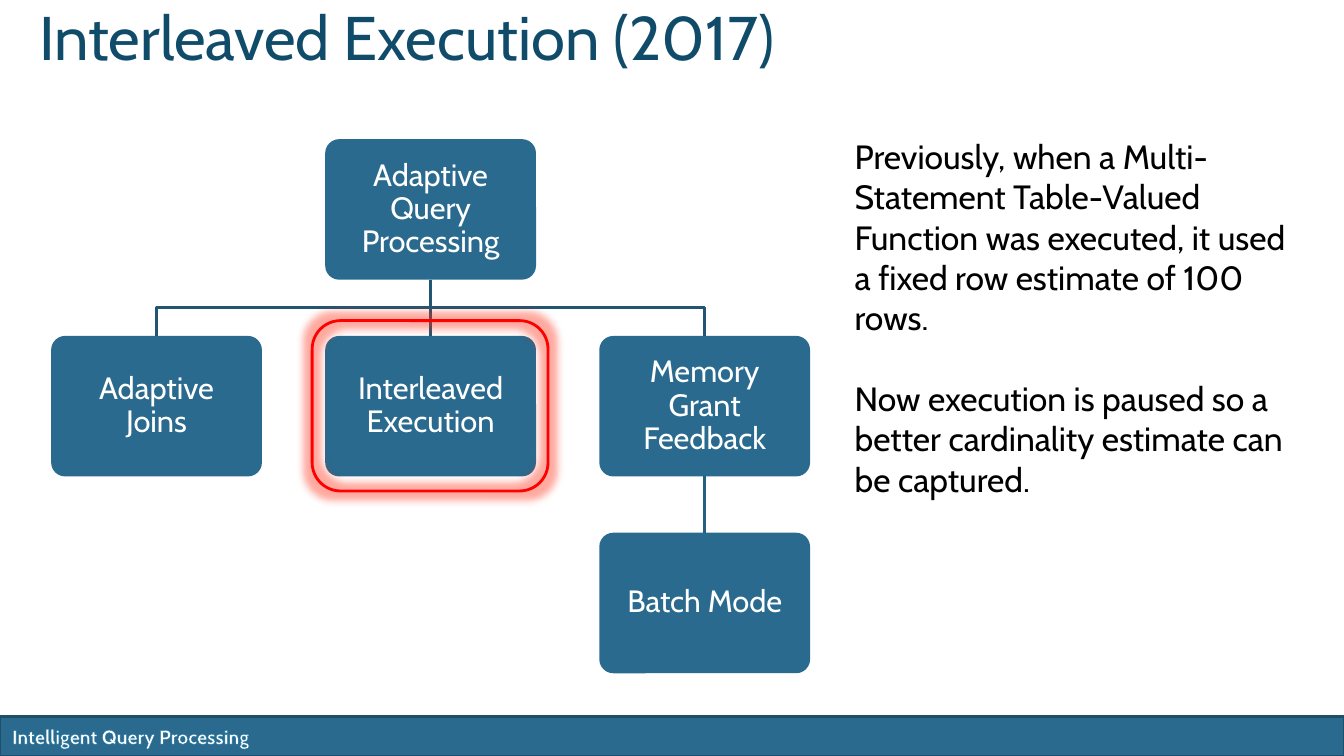
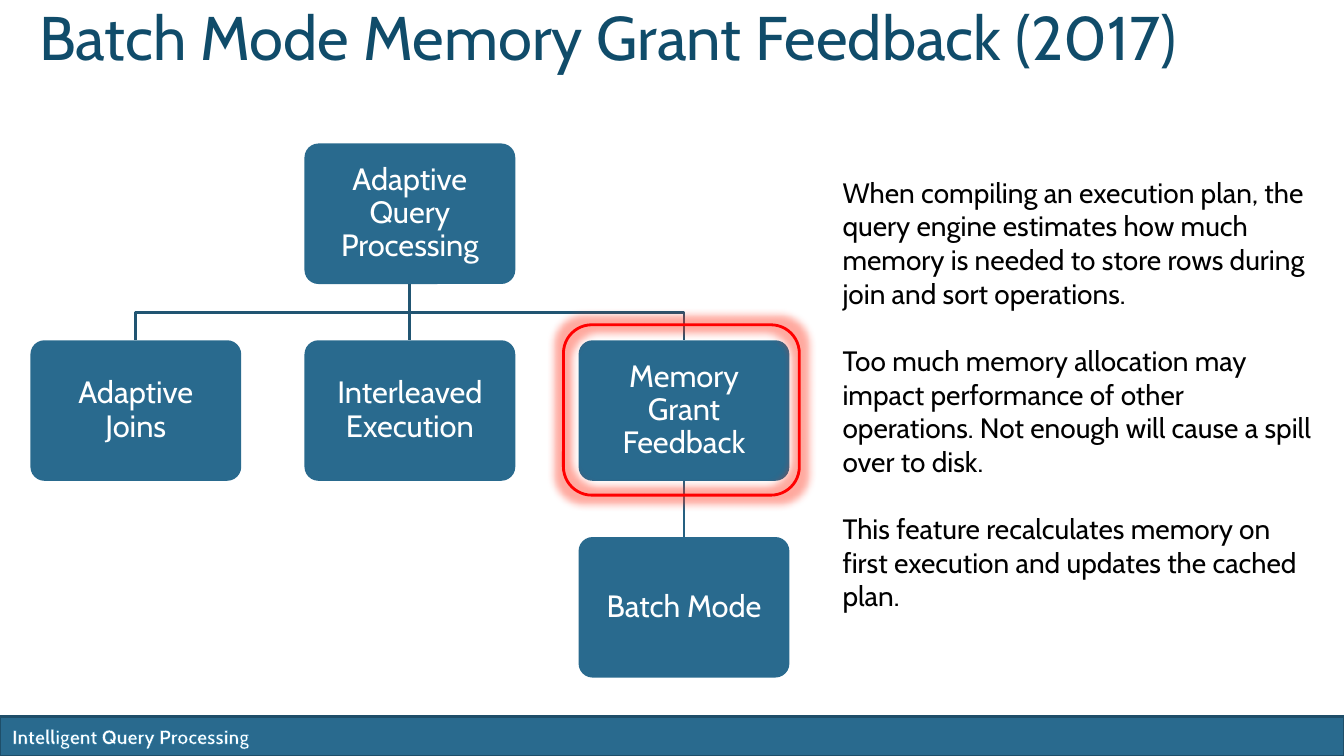
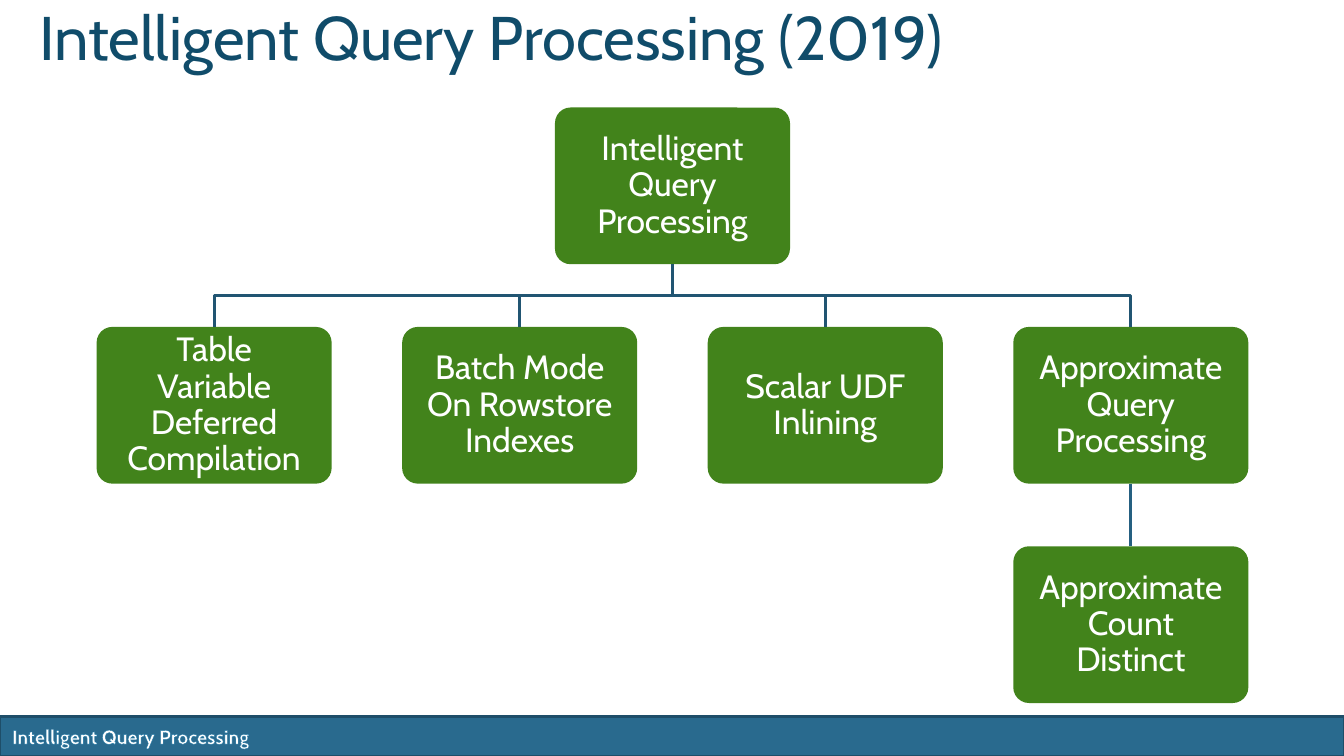
from lxml.etree import SubElement
from pptx import Presentation
from pptx.dml.color import RGBColor
from pptx.enum.shapes import MSO_CONNECTOR, MSO_SHAPE
from pptx.enum.text import MSO_ANCHOR, PP_ALIGN
from pptx.oxml.ns import qn
from pptx.util import Pt

FONT = "Cabin"
WHITE = RGBColor(0xFF, 0xFF, 0xFF)
BLACK = RGBColor(0x00, 0x00, 0x00)
RED = RGBColor(0xFF, 0x00, 0x00)
GLOW = RGBColor(0xFF, 0x2A, 0x10)
BLUE = RGBColor(0x29, 0x6A, 0x8E)
GREEN = RGBColor(0x42, 0x83, 0x1B)
TITLE_BLUE = RGBColor(0x10, 0x4C, 0x6A)
BAND_EDGE = RGBColor(0x1E, 0x4E, 0x69)
TEXT_EDGE = RGBColor(0x18, 0x72, 0xA0)
BRANCH = RGBColor(0x21, 0x55, 0x72)
TWIG = RGBColor(0x25, 0x60, 0x81)

# Content
FOOTER = "Intelligent Query Processing"
ADAPTIVE = {
    "root": "Adaptive Query Processing",
    "children": ["Adaptive Joins", "Interleaved Execution", "Memory Grant Feedback"],
    "leaf": "Batch Mode",
    "color": BLUE, "size": 22, "box_width": 150.6,
}
INTELLIGENT = {
    "root": "Intelligent Query Processing",
    "children": ["Table Variable Deferred Compilation", "Batch Mode On Rowstore Indexes",
                 "Scalar UDF Inlining", "Approximate Query Processing"],
    "leaf": "Approximate Count Distinct",
    "color": GREEN, "size": 24, "box_width": 167.9,
}
SLIDES = [
    {"title": "Interleaved Execution (2017)",
     "tree": ADAPTIVE, "origin": (36.5, 99.4), "ring": (223, 229),
     "body": [
         "Previously, when a Multi-Statement Table-Valued Function was executed, "
         "it used a fixed row estimate of 100 rows.",
         "Now execution is paused so a better cardinality estimate can be captured."],
     "body_box": (603.4, 93.6, 335.5, 269), "body_size": 24},
    {"title": "Batch Mode Memory Grant Feedback (2017)",
     "tree": ADAPTIVE, "origin": (21.7, 102.5), "ring": (402.5, 232),
     "body": [
         "When compiling an execution plan, the query engine estimates how much "
         "memory is needed to store rows during join and sort operations.",
         "Too much memory allocation may impact performance of other operations. "
         "Not enough will cause a spill over to disk.",
         "This feature recalculates memory on first execution and updates the cached plan."],
     "body_box": (594.7, 121.7, 350, 322.5), "body_size": 20},
    {"title": "Intelligent Query Processing (2019)",
     "tree": INTELLIGENT, "origin": (69, 76.8)},
]

# Proportions of the trees
BOX_RATIO, COLUMN_PITCH, ROW_PITCH = 2 / 3, 1.3, 1.4
RING_SIZE = (168.5, 121.7)


def write(frame, *paragraphs, size, color, bold=None, align=None, anchor=MSO_ANCHOR.TOP,
          margins=(7.2, 3.6), line_spacing=None, gap=0):
    """Fill a text frame, with a gap in points before each later paragraph."""
    frame.word_wrap = True
    frame.vertical_anchor = anchor
    frame.margin_left = frame.margin_right = Pt(margins[0])
    frame.margin_top = frame.margin_bottom = Pt(margins[1])
    for i, text in enumerate(paragraphs):
        para = frame.add_paragraph() if i else frame.paragraphs[0]
        para.alignment = align
        para.line_spacing = line_spacing
        para.space_before = Pt(gap if i else 0)
        run = para.add_run()
        run.text = text
        run.font.name, run.font.size, run.font.bold = FONT, Pt(size), bold
        run.font.color.rgb = color


def text_area(slide, box, *paragraphs, **style):
    frame = slide.shapes.add_textbox(*map(Pt, box)).text_frame
    write(frame, *paragraphs, **style)
    return frame


def draw_shape(slide, kind, box, fill=None, line=None):
    shape = slide.shapes.add_shape(kind, *map(Pt, box))
    shape.shadow.inherit = False
    paint(shape, fill, line)
    return shape


def paint(shape, fill, line):
    if fill is None:
        shape.fill.background()
    else:
        shape.fill.solid()
        shape.fill.fore_color.rgb = fill
    if line is None:
        shape.line.fill.background()
    else:
        shape.line.color.rgb = line
        shape.line.width = Pt(2)


def add_color(parent, color, alpha=None):
    node = SubElement(parent, qn("a:srgbClr"), val=str(color))
    if alpha:
        SubElement(node, qn("a:alpha"), val=str(alpha * 1000))


def add_frame(slide, title):
    """Footer band, footer text and title."""
    draw_shape(slide, MSO_SHAPE.RECTANGLE, (0, 512, 960, 28.6), BLUE, BAND_EDGE)
    footer = text_area(slide, (1.5, 514, 436, 24.2), FOOTER, size=14, color=WHITE, bold=True)
    outline = footer.paragraphs[0].runs[0].font.fill
    properties = footer.paragraphs[0].runs[0].font._rPr
    edge = SubElement(properties, qn("a:ln"), w=str(Pt(0.8)))
    add_color(SubElement(edge, qn("a:solidFill")), TEXT_EDGE)
    properties.insert(0, edge)
    text_area(slide, (20.9, 13.7, 903, 90), title, size=44, color=TITLE_BLUE,
              line_spacing=Pt(35))


def join(slide, upper, lower, color):
    """Link two boxes: straight when aligned, with a bend halfway otherwise."""
    x1, y1 = upper.left + upper.width // 2, upper.top + upper.height
    x2, y2 = lower.left + lower.width // 2, lower.top
    if abs(x1 - x2) < Pt(1):
        link = slide.shapes.add_connector(MSO_CONNECTOR.STRAIGHT, x1, y1, x2, y2)
        link.begin_connect(upper, 2)
        link.end_connect(lower, 0)
        link.line.color.rgb = color
        link.line.width = Pt(2)
        SubElement(link._element.spPr, qn("a:effectLst"))
    else:
        middle = (y1 + y2) // 2
        builder = slide.shapes.build_freeform(x1, y1)
        builder.add_line_segments([(x1, middle), (x2, middle), (x2, y2)], close=False)
        bend = builder.convert_to_shape()
        bend.shadow.inherit = False
        paint(bend, None, color)


def add_tree(slide, tree, origin):
    width = tree["box_width"]
    height = width * BOX_RATIO
    last = len(tree["children"]) - 1

    def add_node(text, column, row):
        box = (origin[0] + column * width * COLUMN_PITCH,
               origin[1] + row * height * ROW_PITCH, width, height)
        node = draw_shape(slide, MSO_SHAPE.ROUNDED_RECTANGLE, box, tree["color"])
        node.adjustments[0] = 0.1
        inset = width / 16
        write(node.text_frame, text, size=tree["size"], color=WHITE, align=PP_ALIGN.CENTER,
              anchor=MSO_ANCHOR.MIDDLE, margins=(inset, inset), line_spacing=0.9)
        return node

    root = add_node(tree["root"], last / 2, 0)
    children = [add_node(text, i, 1) for i, text in enumerate(tree["children"])]
    leaf = add_node(tree["leaf"], last, 2)
    for child in children:
        join(slide, root, child, BRANCH)
    join(slide, children[-1], leaf, TWIG)


def add_ring(slide, corner):
    """Glowing outline around the current topic."""
    ring = draw_shape(slide, MSO_SHAPE.ROUNDED_RECTANGLE, (*corner, *RING_SIZE), line=RED)
    effects = ring._element.spPr.find(qn("a:effectLst"))
    add_color(SubElement(effects, qn("a:glow"), rad=str(Pt(11))), GLOW, alpha=40)


def main():
    deck = Presentation()
    deck.slide_width, deck.slide_height = Pt(960), Pt(540)
    for content in SLIDES:
        slide = deck.slides.add_slide(deck.slide_layouts[6])
        add_frame(slide, content["title"])
        add_tree(slide, content["tree"], content["origin"])
        if "body" in content:
            size = content["body_size"]
            text_area(slide, content["body_box"], *content["body"], size=size,
                      color=BLACK, gap=size * 1.2)
        if "ring" in content:
            add_ring(slide, content["ring"])
    deck.save("out.pptx")


if __name__ == "__main__":
    main()
